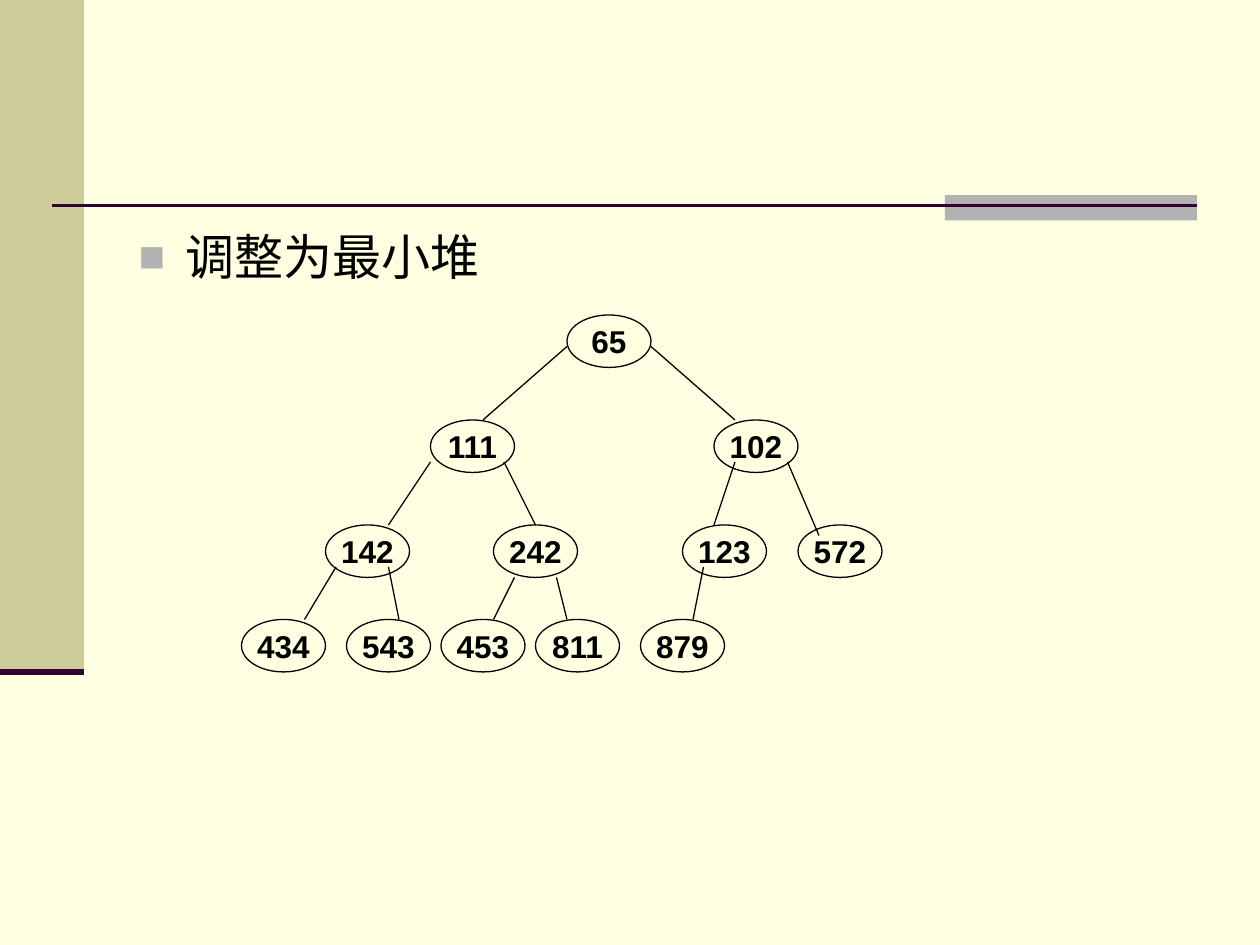
from lxml import etree
from pptx import Presentation
from pptx.dml.color import RGBColor
from pptx.enum import shapes, text
from pptx.oxml.ns import qn
from pptx.util import Pt

COLORS = {"paper": "FFFFE1", "band": "CCCC99", "accent": "B2B2B2",
          "rule": "330033", "ink": "000000"}
FONT = "Arial"
HEADLINE = "调整为最小堆"

# Heap levels: top, then (value, left) for each node
LEVELS = [
    (180, [("65", 324)]),
    (240, [("111", 246), ("102", 408)]),
    (300, [("142", 186), ("242", 282), ("123", 390), ("572", 456)]),
    (354, [("434", 138), ("543", 198), ("453", 252), ("811", 306), ("879", 366)]),
]
NODE_W, NODE_H = 48, 30

# Branches in heap order: x1, y1, x2, y2
BRANCHES = [
    (324, 198, 276, 240), (372, 198, 420, 240),
    (246, 264, 222, 300), (288, 264, 306, 300),
    (420, 264, 408, 300), (450, 264, 468, 306),
    (192, 324, 174, 354), (222, 324, 228, 354),
    (294, 330, 282, 354), (318, 330, 324, 354),
    (402, 324, 396, 354),
]


def rgb(key):
    return RGBColor.from_string(COLORS[key])


def add_filled(kind, left, top, width, height, fill):
    shape = slide.shapes.add_shape(kind, Pt(left), Pt(top), Pt(width), Pt(height))
    shape.shadow.inherit = False
    shape.fill.solid()
    shape.fill.fore_color.rgb = rgb(fill)
    shape.line.fill.background()
    return shape


def add_line(x1, y1, x2, y2, color="ink", weight=0.75):
    line = slide.shapes.add_connector(
        shapes.MSO_CONNECTOR.STRAIGHT, Pt(x1), Pt(y1), Pt(x2), Pt(y2))
    line.line.color.rgb = rgb(color)
    line.line.width = Pt(weight)
    etree.SubElement(line._element.spPr, qn("a:effectLst"))


def style_font(font, size, bold=False):
    font.name, font.size, font.bold = FONT, Pt(size), bold
    font.color.rgb = rgb("ink")


def add_node(value, left, top):
    node = add_filled(shapes.MSO_SHAPE.OVAL, left, top, NODE_W, NODE_H, "paper")
    node.line.color.rgb = rgb("ink")
    node.line.width = Pt(0.75)
    frame = node.text_frame
    frame.text = value
    frame.word_wrap = False
    frame.vertical_anchor = text.MSO_ANCHOR.MIDDLE
    label = frame.paragraphs[0]
    label.alignment = text.PP_ALIGN.CENTER
    style_font(label.runs[0].font, 18, bold=True)


prs = Presentation()
prs.slide_width, prs.slide_height = Pt(720), Pt(540)
slide = prs.slides.add_slide(prs.slide_layouts[1])
slide.background.fill.solid()
slide.background.fill.fore_color.rgb = rgb("paper")
title = slide.shapes.title
title._element.getparent().remove(title._element)

# Side band and rules
add_filled(shapes.MSO_SHAPE.RECTANGLE, 0, 0, 48, 384, "band")
add_filled(shapes.MSO_SHAPE.RECTANGLE, 540, 111.5, 144, 14.5, "accent")
add_line(30, 117.5, 684, 117.5, "rule", 1.5)
add_line(0, 384, 48, 384, "rule", 3.5)

# Headline bullet
body = slide.placeholders[1]
body.left, body.top, body.width, body.height = Pt(72), Pt(126), Pt(612), Pt(356.5)
body.text_frame.text = HEADLINE
body.text_frame.auto_size = text.MSO_AUTO_SIZE.NONE
body.text_frame.vertical_anchor = text.MSO_ANCHOR.TOP
headline = body.text_frame.paragraphs[0]
headline.space_before = Pt(0)
props = headline._p.get_or_add_pPr()
props.set("marL", str(Pt(27)))
props.set("indent", str(-Pt(27)))
bullet_color = etree.SubElement(props, qn("a:buClr"))
etree.SubElement(bullet_color, qn("a:srgbClr"), val=COLORS["accent"])
etree.SubElement(props, qn("a:buSzPct"), val="90000")
etree.SubElement(props, qn("a:buFont"), typeface=FONT)
etree.SubElement(props, qn("a:buChar"), char="■")
style_font(headline.runs[0].font, 28)

# Heap tree
for top, nodes in LEVELS:
    for value, left in nodes:
        add_node(value, left, top)
for branch in BRANCHES:
    add_line(*branch)

prs.save("out.pptx")
